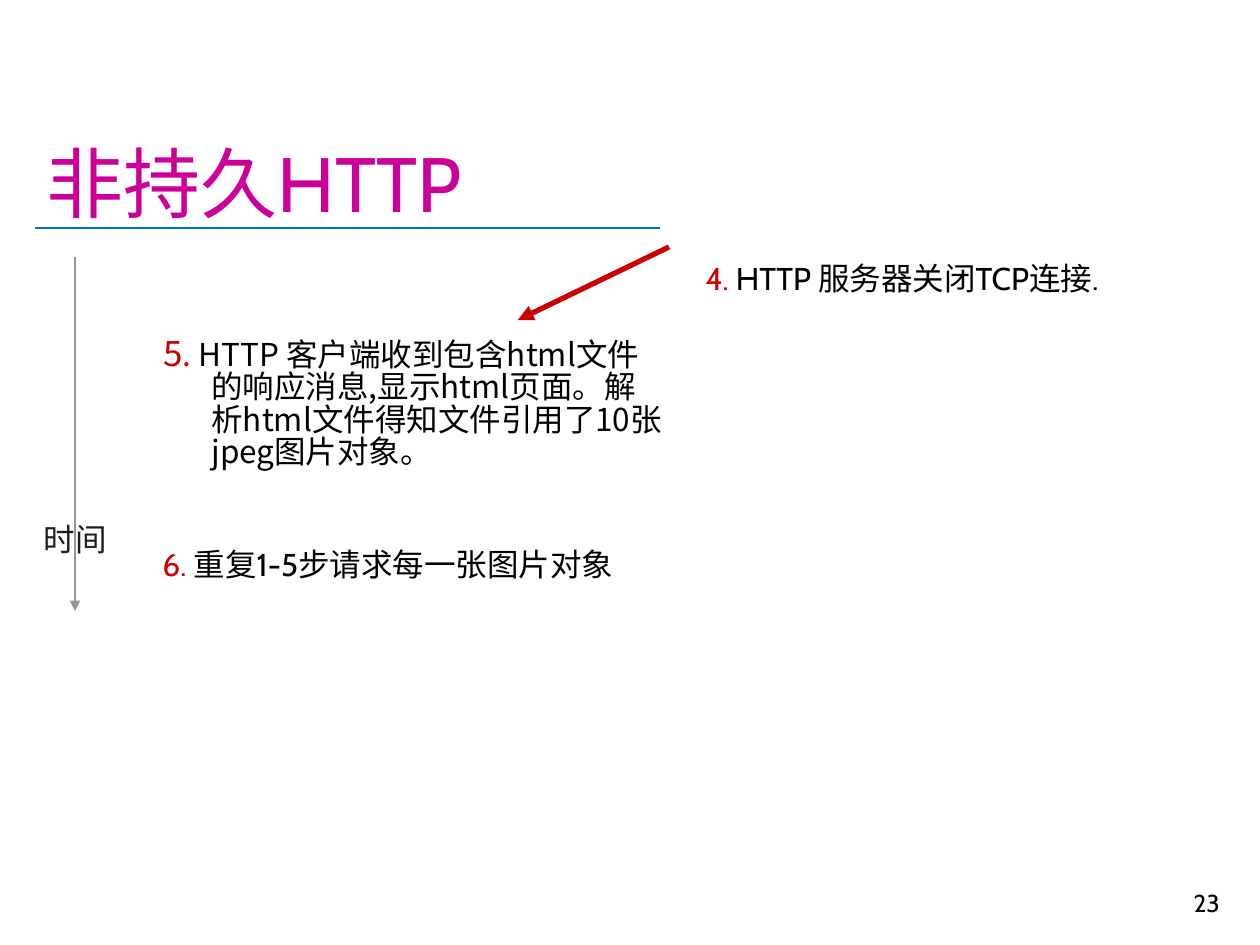
import pptx
import pptx.util
import pptx.dml.color
import pptx.enum.shapes
import pptx.enum.text
import pptx.oxml.ns
from lxml import etree

Inches = pptx.util.Inches
Pt = pptx.util.Pt
Align = pptx.enum.text.PP_ALIGN
Anchor = pptx.enum.text.MSO_ANCHOR
qn = pptx.oxml.ns.qn
RED, BLACK = "CC0000", "000000"


def color(value):
    return pptx.dml.color.RGBColor.from_string(value)


def style_font(font, size, value, name="Cabin"):
    """Apply one typeface to both Latin and East Asian characters."""
    font.size = Pt(size)
    font.color.rgb = color(value)
    font.name = name
    etree.SubElement(font._element, qn("a:ea")).set("typeface", name)


def add_line(slide, start, end, value, width, arrow=False):
    line = slide.shapes.add_connector(
        pptx.enum.shapes.MSO_CONNECTOR.STRAIGHT,
        *[Inches(length) for length in (*start, *end)])
    line.line.color.rgb = color(value)
    line.line.width = Pt(width)
    if arrow:
        etree.SubElement(line.line._get_or_add_ln(), qn("a:tailEnd")).set("type", "triangle")
    etree.SubElement(line._element.spPr, qn("a:effectLst"))


def add_text_box(slide, box):
    frame = slide.shapes.add_textbox(*[Inches(length) for length in box]).text_frame
    frame.word_wrap = True
    return frame


def add_title(slide, box, text):
    title = slide.shapes.title
    title.left, title.top, title.width, title.height = [Inches(length) for length in box]
    frame = title.text_frame
    frame.text = text
    frame.auto_size = pptx.enum.text.MSO_AUTO_SIZE.NONE
    frame.vertical_anchor = Anchor.BOTTOM
    frame.margin_bottom = Inches(0.02)
    paragraph = frame.paragraphs[0]
    paragraph.alignment = Align.LEFT
    style_font(paragraph.font, 44, "CC0099")
    add_line(slide, (0.28, 1.81), (5.24, 1.81), "0070C0", 1.25)


def add_step(slide, box, runs, name="Cabin", line_spacing=None):
    """Add a numbered step with a hanging indent; runs are (text, size, colour)."""
    paragraph = add_text_box(slide, box).paragraphs[0]
    paragraph.line_spacing = line_spacing
    properties = paragraph._p.get_or_add_pPr()
    properties.set("marL", str(Inches(0.38)))
    properties.set("indent", str(-Inches(0.38)))
    for text, size, value in runs:
        run = paragraph.add_run()
        run.text = text
        style_font(run.font, size, value, name)


def add_time_axis(slide, box):
    left, top, width, height = box
    middle = left + width / 2
    add_line(slide, (middle, top), (middle, top + height), "969696", 1.5, arrow=True)
    frame = add_text_box(slide, (left, top + 2.04, width, 0.4))
    frame.word_wrap = False
    paragraph = frame.paragraphs[0]
    paragraph.text = "时间"
    paragraph.alignment = Align.CENTER
    style_font(paragraph.font, 18, "1C1C1C")


def add_page_number(slide, box, number):
    frame = add_text_box(slide, box)
    frame.vertical_anchor = Anchor.BOTTOM
    paragraph = frame.paragraphs[0]
    paragraph.text = number
    paragraph.alignment = Align.RIGHT
    style_font(paragraph.font, 14, BLACK)


def main():
    presentation = pptx.Presentation()
    presentation.slide_width = Inches(10)
    presentation.slide_height = Inches(7.5)
    slide = presentation.slides.add_slide(presentation.slide_layouts[5])

    add_title(slide, (0.27, 0.23, 9.51, 1.6), "非持久HTTP")
    add_page_number(slide, (7.7, 6.83, 2.08, 0.5), "23")
    add_step(slide, (1.2, 2.63, 4.17, 1.68), [
        ("5", 20, RED), (".", 18, RED),
        (" HTTP 客户端收到包含html文件的响应消息,显示html页面。"
         "解析html文件得知文件引用了10张jpeg图片对象。", 18, BLACK),
    ], "Noto Sans CJK SC", 0.85)
    add_step(slide, (1.19, 4.28, 4.17, 0.73),
             [("6. ", 18, RED), ("重复1-5步请求每一张图片对象", 18, BLACK)])
    add_step(slide, (5.5, 2.01, 4.17, 0.8),
             [("4.", 18, RED), (" HTTP 服务器关闭TCP连接.", 18, BLACK)])
    add_time_axis(slide, (0.24, 2.04, 0.71, 2.81))
    add_line(slide, (5.31, 1.96), (4.11, 2.54), RED, 3, arrow=True)

    presentation.save("out.pptx")


if __name__ == "__main__":
    main()
